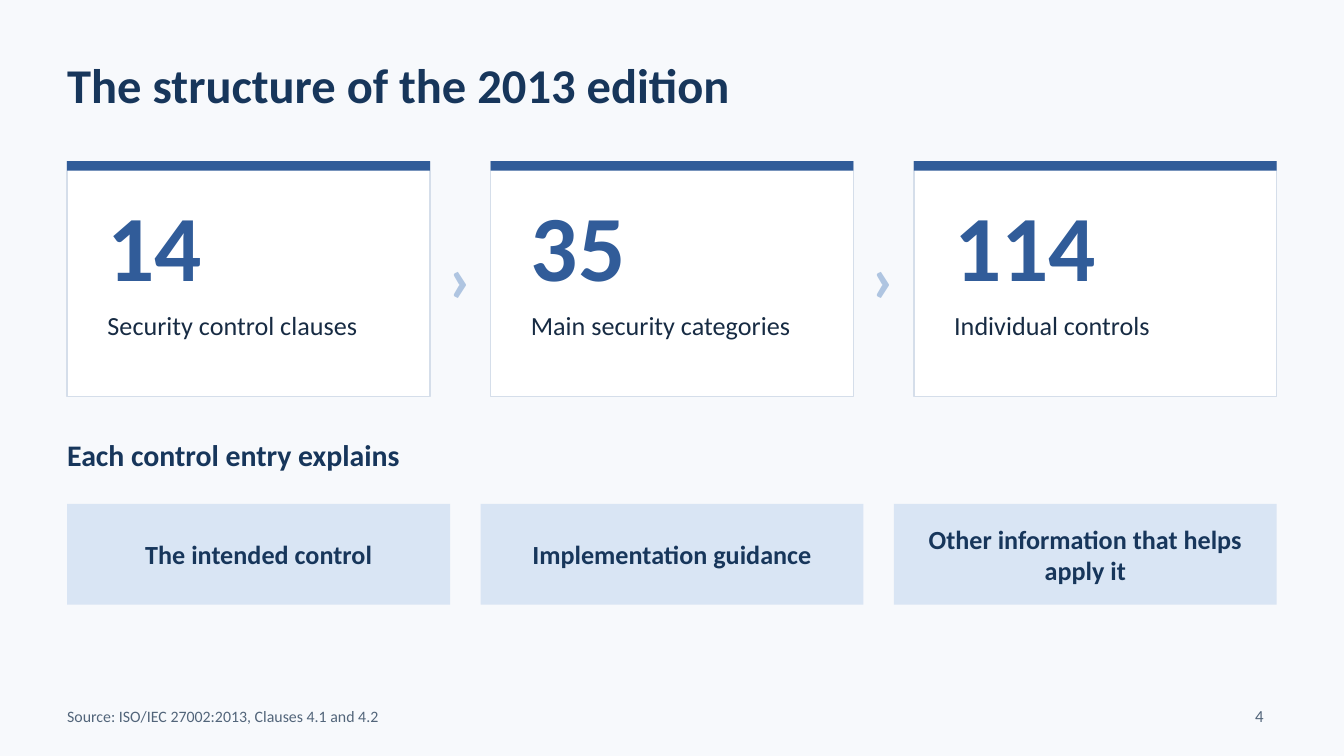
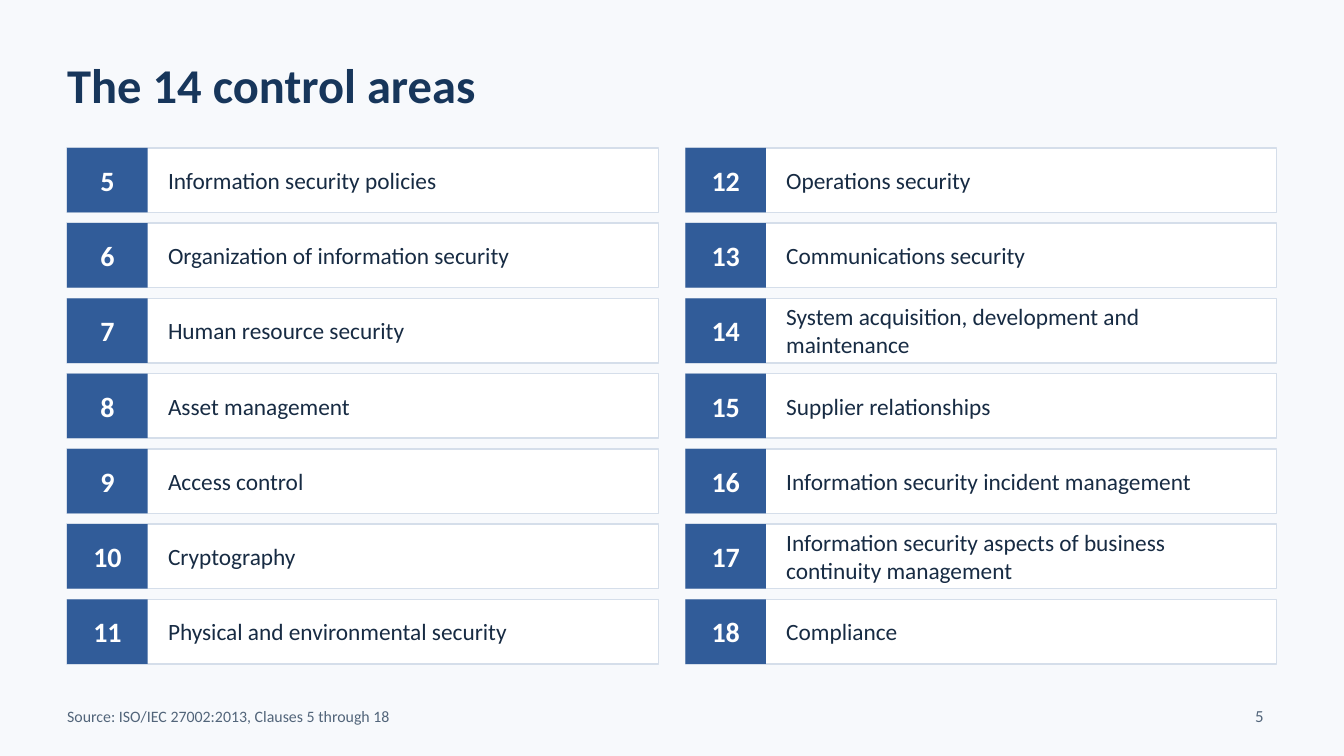
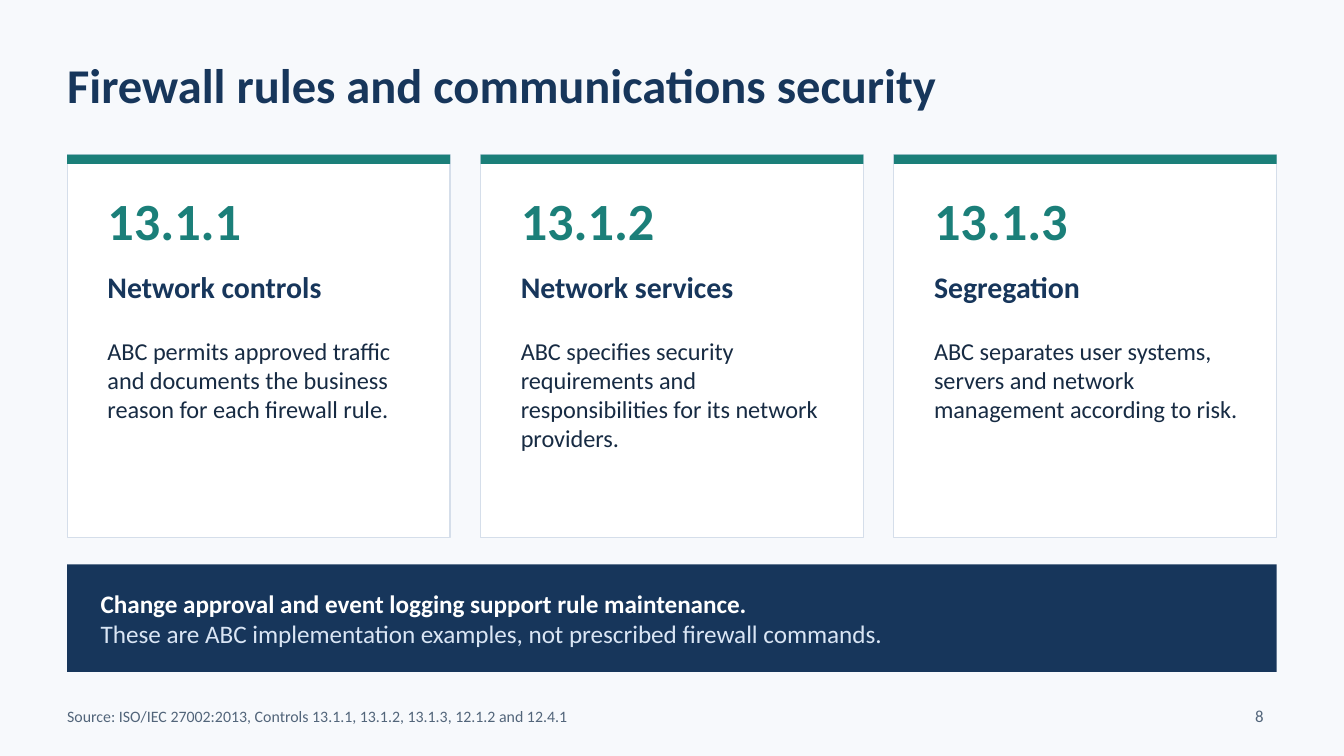
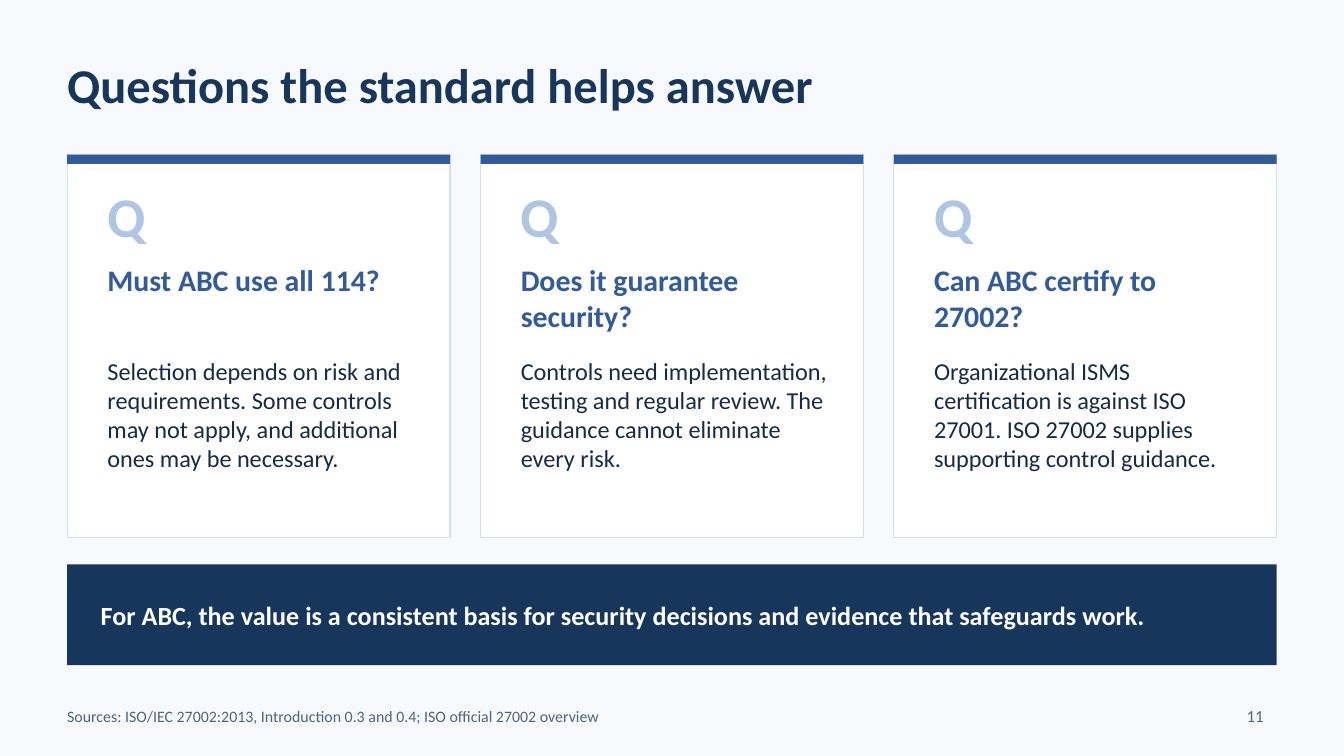
from dataclasses import dataclass

from pptx import Presentation
from pptx.dml.color import RGBColor
from pptx.enum.shapes import MSO_SHAPE
from pptx.enum.text import MSO_ANCHOR, PP_ALIGN
from pptx.util import Inches, Pt


@dataclass(frozen=True)
class Theme:
    font: str = "Calibri"
    paper: str = "F7F9FC"
    white: str = "FFFFFF"
    navy: str = "17365B"
    blue: str = "315C99"
    teal: str = "1B7F79"
    sky: str = "AFC5E1"
    pale: str = "D9E5F4"
    border: str = "D5DEEA"
    ink: str = "172B43"
    slate: str = "52657A"
    border_width: float = 0.75
    title: float = 26
    heading: float = 16
    figure: float = 50
    chevron: float = 36
    question: float = 30
    control: float = 28
    clause: float = 15
    label: float = 14
    note: float = 13.5
    body: float = 13
    area: float = 12.5
    page: float = 9
    source: float = 8.5


theme = Theme()
prs = Presentation()
prs.slide_width = Inches(10)
prs.slide_height = Inches(5.625)
UNIT = prs.slide_width / 100
LEFT, FULL = 5, 90
BAR = 0.7
PAD = 3
THIRD = 28.5
THIRD_STEP = (FULL - THIRD) / 2


def box(slide, x, y, w, h, fill, border=None):
    shape = slide.shapes.add_shape(
        MSO_SHAPE.RECTANGLE, *(round(n * UNIT) for n in (x, y, w, h)))
    shape.shadow.inherit = False
    shape.fill.solid()
    shape.fill.fore_color.rgb = RGBColor.from_string(fill)
    if border:
        shape.line.color.rgb = RGBColor.from_string(border)
        shape.line.width = Pt(theme.border_width)
    else:
        shape.line.fill.background()


def write(slide, x, y, w, h, text, size, color, bold=False,
          align=PP_ALIGN.LEFT, anchor=MSO_ANCHOR.TOP, inset=(0, 0)):
    frame = slide.shapes.add_textbox(
        *(round(n * UNIT) for n in (x, y, w, h))).text_frame
    frame.word_wrap = True
    frame.vertical_anchor = anchor
    frame.margin_left = frame.margin_right = round(inset[0] * UNIT)
    frame.margin_top = frame.margin_bottom = round(inset[1] * UNIT)
    paragraph = frame.paragraphs[0]
    paragraph.alignment = align
    run = paragraph.add_run()
    run.text = text
    run.font.name = theme.font
    run.font.size = Pt(size)
    run.font.bold = bold
    run.font.color.rgb = RGBColor.from_string(color)
    return frame


pages = [
    ("The structure of the 2013 edition",
     "Source: ISO/IEC 27002:2013, Clauses 4.1 and 4.2", "4"),
    ("The 14 control areas",
     "Source: ISO/IEC 27002:2013, Clauses 5 through 18", "5"),
    ("Firewall rules and communications security",
     "Source: ISO/IEC 27002:2013, Controls 13.1.1, 13.1.2, 13.1.3, 12.1.2 and 12.4.1", "8"),
    ("Questions the standard helps answer",
     "Sources: ISO/IEC 27002:2013, Introduction 0.3 and 0.4; ISO official 27002 overview", "11"),
]
for title, source, number in pages:
    slide = prs.slides.add_slide(prs.slide_layouts[6])
    slide.background.fill.solid()
    slide.background.fill.fore_color.rgb = RGBColor.from_string(theme.paper)
    write(slide, LEFT, 3, FULL, 6.5, title, theme.title, theme.navy, True,
          anchor=MSO_ANCHOR.MIDDLE)
    write(slide, LEFT, 52, 82, 2.5, source, theme.source, theme.slate,
          anchor=MSO_ANCHOR.MIDDLE)
    write(slide, 90, 52, 5, 2.5, number, theme.page, theme.slate,
          align=PP_ALIGN.RIGHT, inset=(1, 0.5))
structure, areas, firewall, questions = prs.slides

STAT = 27
STAT_STEP = (FULL - STAT) / 2
stats = [("14", "Security control clauses"),
         ("35", "Main security categories"),
         ("114", "Individual controls")]
for i, (figure, label) in enumerate(stats):
    x = LEFT + i * STAT_STEP
    if i:
        write(structure, x - 4.3, 17, 4, 7, "›", theme.chevron, theme.sky, True,
              PP_ALIGN.CENTER, MSO_ANCHOR.MIDDLE)
    box(structure, x, 12, STAT, 17.5, theme.white, theme.border)
    box(structure, x, 12, STAT, BAR, theme.blue)
    write(structure, x + PAD, 14, 22, 8.5, figure, theme.figure, theme.blue, True)
    write(structure, x + PAD, 23, 22, 5, label, theme.label, theme.ink)

write(structure, LEFT, 32.5, FULL, 4, "Each control entry explains",
      theme.heading, theme.navy, True)
entries = ["The intended control", "Implementation guidance",
           "Other information that helps apply it"]
for i, entry in enumerate(entries):
    x = LEFT + i * THIRD_STEP
    box(structure, x, 37.5, THIRD, 7.5, theme.pale)
    write(structure, x + 2, 37.5, THIRD - 4, 7.5, entry, theme.label, theme.navy,
          True, PP_ALIGN.CENTER, MSO_ANCHOR.MIDDLE)

AREA_W, AREA_H, BADGE = 44, 4.8, 6
AREA_ROWS, FIRST_CLAUSE = 7, 5
area_names = [
    "Information security policies",
    "Organization of information security",
    "Human resource security",
    "Asset management",
    "Access control",
    "Cryptography",
    "Physical and environmental security",
    "Operations security",
    "Communications security",
    "System acquisition, development and maintenance",
    "Supplier relationships",
    "Information security incident management",
    "Information security aspects of business continuity management",
    "Compliance",
]
for i, name in enumerate(area_names):
    column, row = divmod(i, AREA_ROWS)
    x = LEFT + column * (FULL - AREA_W)
    y = 11 + row * 5.6
    box(areas, x, y, AREA_W, AREA_H, theme.white, theme.border)
    box(areas, x, y, BADGE, AREA_H, theme.blue)
    write(areas, x, y, BADGE, AREA_H, str(FIRST_CLAUSE + i), theme.clause,
          theme.white, True, PP_ALIGN.CENTER, MSO_ANCHOR.MIDDLE)
    write(areas, x + 7.5, y, 35.5, AREA_H, name, theme.area, theme.ink,
          anchor=MSO_ANCHOR.MIDDLE)

controls = [
    ("13.1.1", "Network controls",
     "ABC permits approved traffic and documents the business reason for each firewall rule."),
    ("13.1.2", "Network services",
     "ABC specifies security requirements and responsibilities for its network providers."),
    ("13.1.3", "Segregation",
     "ABC separates user systems, servers and network management according to risk."),
]
answers = [
    ("Q", "Must ABC use all 114?",
     "Selection depends on risk and requirements. Some controls may not apply, "
     "and additional ones may be necessary."),
    ("Q", "Does it guarantee security?",
     "Controls need implementation, testing and regular review. "
     "The guidance cannot eliminate every risk."),
    ("Q", "Can ABC certify to 27002?",
     "Organizational ISMS certification is against ISO 27001. "
     "ISO 27002 supplies supporting control guidance."),
]
card_sets = [
    (firewall, controls, theme.teal,
     (14, 23, 6, theme.control, theme.teal),
     (20, 23, 4, theme.heading, theme.navy),
     (25, 23, 14, theme.body, theme.ink)),
    (questions, answers, theme.blue,
     (13.5, 5, 5.5, theme.question, theme.sky),
     (19.5, 23, 6.5, theme.heading, theme.blue),
     (26.5, 23, 13, theme.body, theme.ink)),
]
for slide, cards, accent, *parts in card_sets:
    for i, card in enumerate(cards):
        x = LEFT + i * THIRD_STEP
        box(slide, x, 11.5, THIRD, 28.5, theme.white, theme.border)
        box(slide, x, 11.5, THIRD, BAR, accent)
        for text, (y, w, h, size, color) in zip(card, parts):
            write(slide, x + PAD, y, w, h, text, size, color, size != theme.body)

banners = [
    (firewall, 8, theme.note,
     "Change approval and event logging support rule maintenance.",
     "These are ABC implementation examples, not prescribed firewall commands."),
    (questions, 7.5, theme.label,
     "For ABC, the value is a consistent basis for security decisions "
     "and evidence that safeguards work.", None),
]
for slide, height, size, message, remark in banners:
    box(slide, LEFT, 42, FULL, height, theme.navy)
    frame = write(slide, 7.5, 42, 85, height, message, size, theme.white, True,
                  anchor=MSO_ANCHOR.MIDDLE)
    if remark:
        run = frame.add_paragraph().add_run()
        run.text = remark
        run.font.name = theme.font
        run.font.size = Pt(size)
        run.font.color.rgb = RGBColor.from_string(theme.pale)

prs.save("out.pptx")
